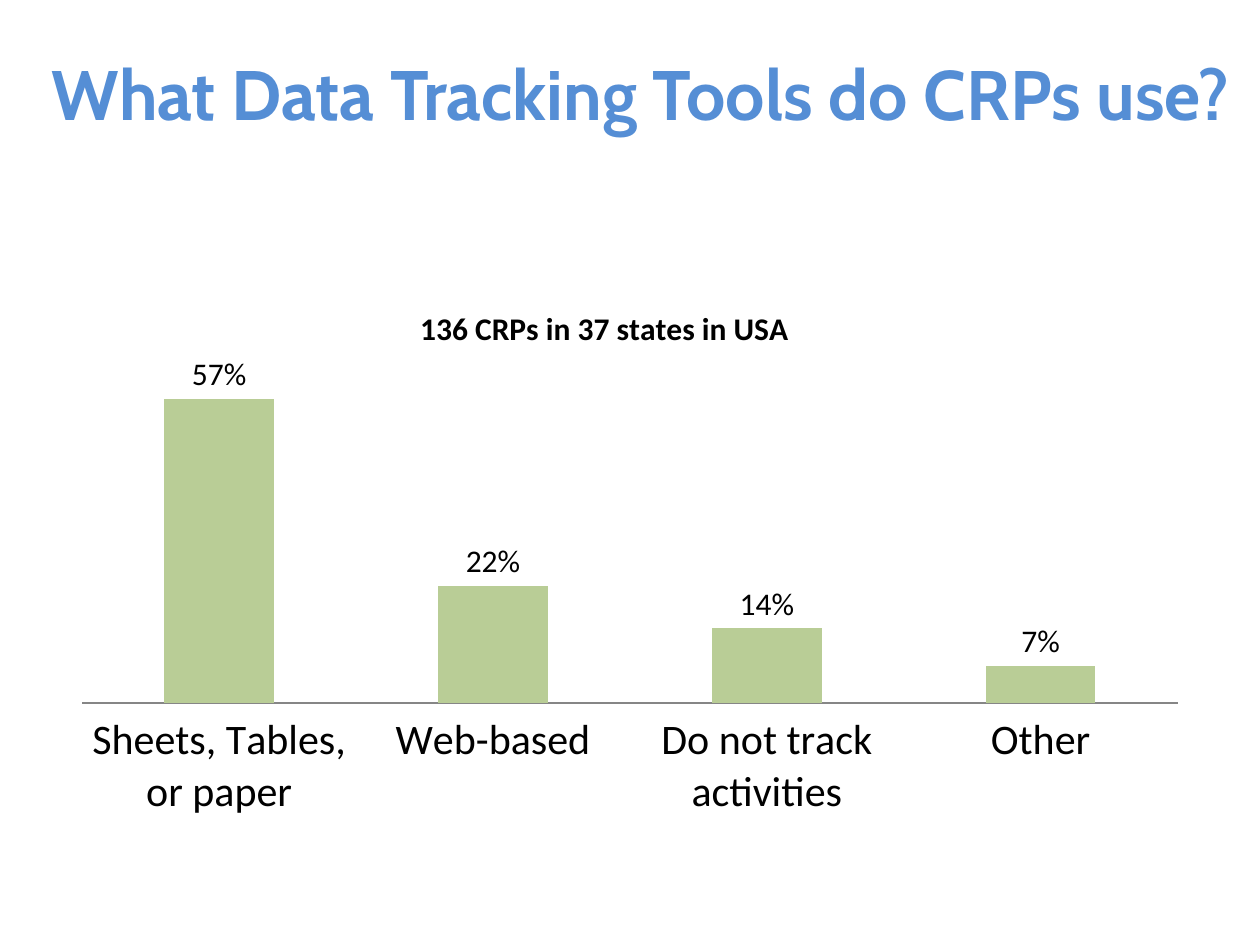
from dataclasses import dataclass

from pptx import Presentation
from pptx.chart.data import CategoryChartData
from pptx.dml.color import RGBColor
from pptx.enum.chart import XL_CHART_TYPE, XL_LABEL_POSITION, XL_TICK_LABEL_POSITION, XL_TICK_MARK
from pptx.enum.text import MSO_ANCHOR, PP_ALIGN
from pptx.oxml import parse_xml
from pptx.oxml.ns import nsdecls
from pptx.util import Inches, Pt

BLUE = RGBColor(0x55, 0x8E, 0xD5)
GREEN = RGBColor(0xB9, 0xCD, 0x96)
GRAY = RGBColor(0x86, 0x86, 0x86)
BLACK = RGBColor(0, 0, 0)
WIDTH, HEIGHT = Inches(10), Inches(7.5)


@dataclass(frozen=True)
class Box:
    x: float
    y: float
    w: float
    h: float

    def place(self) -> tuple[int, int, int, int]:
        return (int(self.x * WIDTH), int(self.y * HEIGHT),
                int(self.w * WIDTH), int(self.h * HEIGHT))


@dataclass(frozen=True)
class Answer:
    label: str
    share: float


ANSWERS = [
    Answer("Sheets, Tables, or paper", 0.57),
    Answer("Web-based", 0.22),
    Answer("Do not track activities", 0.14),
    Answer("Other", 0.07),
]


def style_font(font, *, size: float, name: str = "Calibri",
               color: RGBColor = BLACK, bold: bool = False) -> None:
    font.size, font.name, font.bold = Pt(size), name, bold
    font.color.rgb = color


def write(tf, text: str, **fmt) -> None:
    p = tf.paragraphs[0]
    p.alignment = PP_ALIGN.CENTER
    r = p.add_run()
    r.text = text
    style_font(r.font, **fmt)


def layout_xml(inner: bool = False, **shares: float):
    target = '<c:layoutTarget val="inner"/>' if inner else ""
    modes = "".join(f'<c:{k}Mode val="edge"/>' for k in ("x", "y"))
    sizes = "".join(f'<c:{k} val="{v}"/>' for k, v in shares.items())
    return parse_xml(f'<c:layout {nsdecls("c")}><c:manualLayout>{target}{modes}{sizes}'
                     '</c:manualLayout></c:layout>')


def set_layout(parent, layout, index: int) -> None:
    for old in parent.findall(layout.tag):
        parent.remove(old)
    parent.insert(index, layout)


def add_title(s, box: Box, text: str) -> None:
    tf = s.shapes.add_textbox(*box.place()).text_frame
    tf.word_wrap = True
    tf.vertical_anchor = MSO_ANCHOR.MIDDLE
    write(tf, text, size=40, name="Cabin", color=BLUE, bold=True)


def add_answer_chart(s, box: Box, title: str, answers: list[Answer]) -> None:
    data = CategoryChartData(number_format="0%")
    data.categories = [a.label for a in answers]
    data.add_series("Series 1", [a.share for a in answers])
    chart = s.shapes.add_chart(XL_CHART_TYPE.COLUMN_CLUSTERED, *box.place(), data).chart
    style_font(chart.font, size=18)
    chart.has_legend = False
    chart.has_title = True
    write(chart.chart_title.text_frame, title, size=18, bold=True)
    chart.chart_title.include_in_layout = False
    set_layout(chart.chart_title._element, layout_xml(x=0.31, y=0.22), 1)

    cat = chart.category_axis
    cat.major_tick_mark = XL_TICK_MARK.NONE
    cat.tick_label_position = XL_TICK_LABEL_POSITION.LOW
    cat.format.line.color.rgb = GRAY
    cat.format.line.width = Pt(0.75)
    style_font(cat.tick_labels.font, size=24)
    val = chart.value_axis
    val.minimum_scale, val.maximum_scale = 0, 1
    val.has_major_gridlines = False
    val.visible = False

    plot = chart.plots[0]
    plot.gap_width = 150
    plot.vary_by_categories = False
    plot.series[0].format.fill.solid()
    plot.series[0].format.fill.fore_color.rgb = GREEN
    plot.has_data_labels = True
    labels = plot.data_labels
    labels.show_value = True
    labels.number_format, labels.number_format_is_linked = "0%", False
    labels.position = XL_LABEL_POSITION.OUTSIDE_END
    style_font(labels.font, size=18)
    set_layout(chart._chartSpace.chart.plotArea,
               layout_xml(inner=True, x=0.017, y=0.031, w=0.966, h=0.767), 0)


def main() -> None:
    prs = Presentation()
    prs.slide_width, prs.slide_height = WIDTH, HEIGHT
    s = prs.slides.add_slide(prs.slide_layouts[6])
    add_title(s, Box(0.025, 0.04, 0.967, 0.116), "What Data Tracking Tools do CRPs use?")
    add_answer_chart(s, Box(0.05, 0.156, 0.9, 0.737), "136 CRPs in 37 states in USA", ANSWERS)
    prs.save("out.pptx")


if __name__ == "__main__":
    main()
